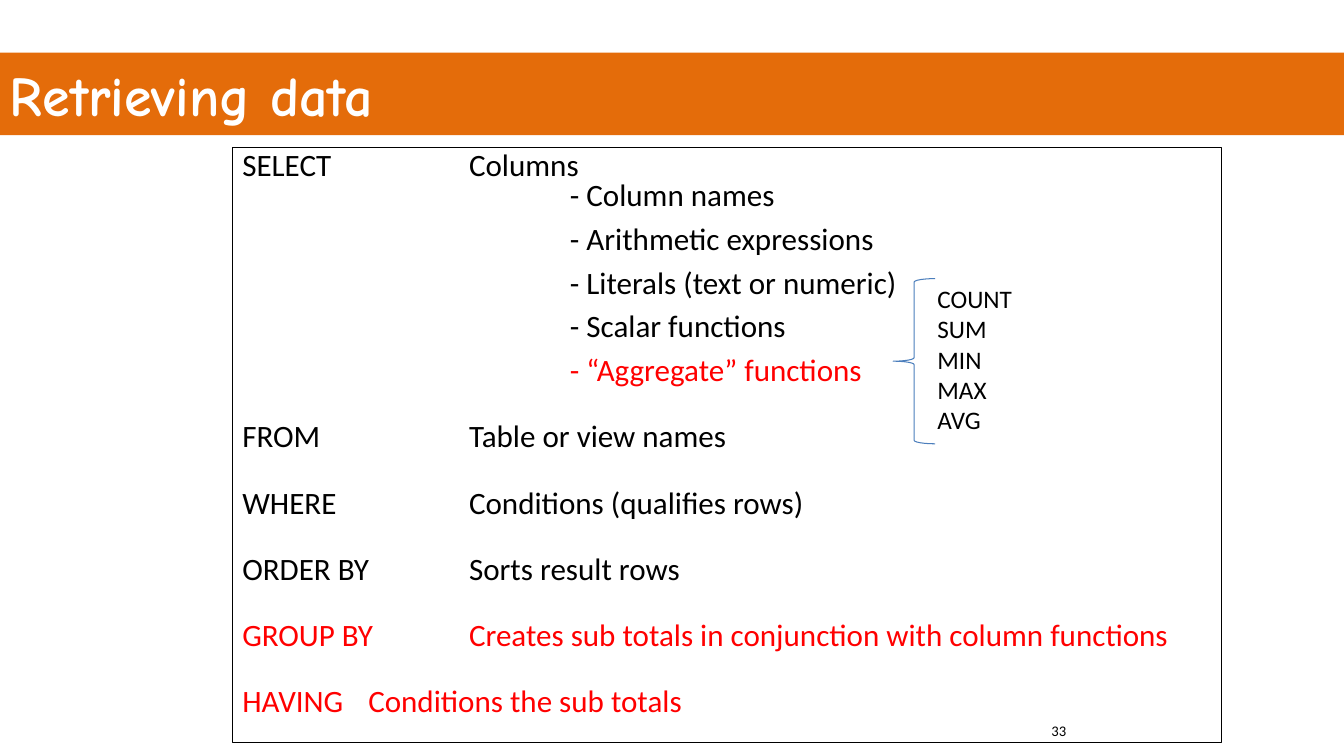
import pptx
import pptx.util
import pptx.dml.color
import pptx.enum.shapes
import pptx.enum.text

Pt = pptx.util.Pt
KIND = pptx.enum.shapes.MSO_SHAPE
ANCHOR = pptx.enum.text.MSO_ANCHOR
COLORS = {"band": "E46C0A", "white": "FFFFFF", "black": "000000",
          "red": "FF0000", "brace": "4B7EBC"}
ITEMS = [("- Column names", "black"), ("- Arithmetic expressions", "black"),
         ("- Literals (text or numeric)", "black"), ("- Scalar functions", "black"),
         ("- “Aggregate” functions", "red")]
CLAUSES = [("FROM\t\tTable or view names", "black"),
           ("WHERE\t\tConditions (qualifies rows)", "black"),
           ("ORDER BY\tSorts result rows", "black"),
           ("GROUP BY\tCreates sub totals in conjunction with column functions", "red"),
           ("HAVING\tConditions the sub totals", "red")]


def color(name):
    """Return the named colour."""
    return pptx.dml.color.RGBColor.from_string(COLORS[name])


def shape(slide, kind, box, fill=None, line=None):
    """Add a plain shape in the box."""
    item = slide.shapes.add_shape(kind, *map(Pt, box))
    item.shadow.inherit = False
    if fill:
        item.fill.solid()
        item.fill.fore_color.rgb = color(fill)
    else:
        item.fill.background()
    if line:
        item.line.color.rgb = color(line)
        item.line.width = Pt(0.75)
    else:
        item.line.fill.background()
    return item


def write(frame, text, size, tint="black", font="Calibri", bold=False):
    """Add a left-aligned paragraph to the frame."""
    para = frame.paragraphs[0]
    if para.runs:
        para = frame.add_paragraph()
    para.alignment = pptx.enum.text.PP_ALIGN.LEFT
    run = para.add_run()
    run.text = text
    run.font.name = font
    run.font.size = Pt(size)
    run.font.bold = bold
    run.font.color.rgb = color(tint)
    return para


def row(frame, text, tint, pitch, gap, left=18, hang=-18):
    """Add a query line with its spacing, indent and tab width."""
    para = write(frame, text, 22.2, tint)
    para.line_spacing = pitch
    para.space_before = Pt(gap)
    props = para._p.get_or_add_pPr()
    for name, size in (("marL", left), ("indent", hang), ("defTabSz", 72)):
        props.set(name, str(Pt(size)))


def text_box(slide, box, lines, size, wrap=True):
    """Add a text box with one paragraph a line."""
    frame = slide.shapes.add_textbox(*map(Pt, box)).text_frame
    frame.word_wrap = wrap
    for line in lines:
        write(frame, line, size)


def title(slide, box):
    """Draw the title band."""
    frame = shape(slide, KIND.RECTANGLE, box, fill="band").text_frame
    frame.vertical_anchor = ANCHOR.MIDDLE
    write(frame, "Retrieving data", 40, "white", "Comic Neue", True)


def query(slide, box):
    """Draw the framed list of query clauses."""
    frame = shape(slide, KIND.RECTANGLE, box, line="black").text_frame
    frame.vertical_anchor = ANCHOR.TOP
    frame.word_wrap = True
    row(frame, "SELECT\t\tColumns", "black", 0.8, 0)
    for pos, (text, tint) in enumerate(ITEMS):
        row(frame, text, tint, 0.8, 10 if pos else 0, left=234, hang=0)
    for text, tint in CLAUSES:
        row(frame, text, tint, 1.4, 10)


def totals(slide, box):
    """Draw the brace and the aggregate names beside it."""
    left, top, width, height = box
    shape(slide, KIND.LEFT_BRACE, (left, top, 30, height), line="brace")
    text_box(slide, (left + 24.5, top, width - 24.5, height),
             ["COUNT", "SUM", "MIN", "MAX", "AVG"], 18, wrap=False)


def main():
    """Build and save the slide."""
    deck = pptx.Presentation()
    deck.slide_width, deck.slide_height = Pt(960), Pt(540)
    slide = deck.slides.add_slide(deck.slide_layouts[6])
    title(slide, (0, 37.5, 960, 59))
    query(slide, (166, 105.5, 706.5, 425))
    text_box(slide, (744, 512, 216, 28), ["33"], 10.5)
    totals(slide, (638, 199, 93, 118))
    deck.save("out.pptx")


if __name__ == "__main__":
    main()
